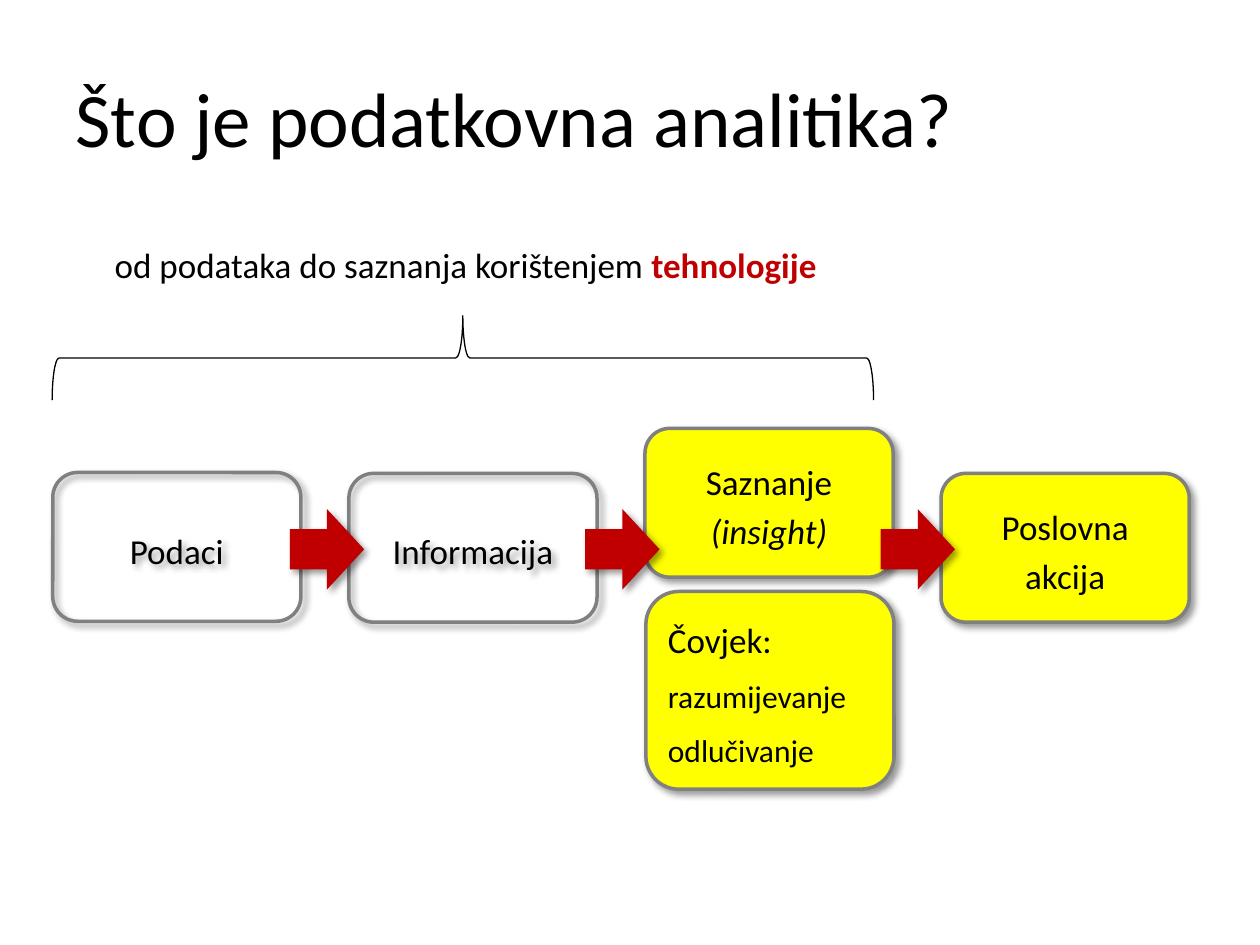
import pptx
import pptx.util
import pptx.dml.color
import pptx.enum.shapes
import pptx.enum.text
import lxml.etree

Pt = pptx.util.Pt
SHAPE = pptx.enum.shapes.MSO_SHAPE
ALIGN = pptx.enum.text.PP_ALIGN
ANCHOR = pptx.enum.text.MSO_ANCHOR
COLORS = {"text": "000000", "accent": "C00000", "highlight": "FFFF00", "border": "808080"}
SHADOW = (
    '<a:effectLst xmlns:a="http://schemas.openxmlformats.org/drawingml/2006/main">'
    '<a:outerShdw blurRad="50800" dist="38100" dir="2700000" algn="tl" rotWithShape="0">'
    '<a:srgbClr val="000000"><a:alpha val="40000"/></a:srgbClr>'
    '</a:outerShdw></a:effectLst>'
)


def add_figure(kind, place, fill=None, line=None, width=0, shadow=True):
    figure = slide.shapes.add_shape(kind, *map(Pt, place))
    figure.shadow.inherit = False
    if fill:
        figure.fill.solid()
        figure.fill.fore_color.rgb = pptx.dml.color.RGBColor.from_string(COLORS[fill])
    else:
        figure.fill.background()
    if line:
        figure.line.color.rgb = pptx.dml.color.RGBColor.from_string(COLORS[line])
        figure.line.width = Pt(width)
    else:
        figure.line.fill.background()
    if shadow:
        properties = figure.fill._xPr
        flat = properties.find("{*}effectLst")
        properties.replace(flat, lxml.etree.fromstring(SHADOW))
    return figure


def write(paragraph, runs, **paragraph_format):
    for name, value in paragraph_format.items():
        setattr(paragraph, name, value)
    for words, size, color, style in runs:
        run = paragraph.add_run()
        run.text = words
        values = {"name": "Calibri", "size": Pt(size), **style}
        for name, value in values.items():
            setattr(run.font, name, value)
        run.font.color.rgb = pptx.dml.color.RGBColor.from_string(COLORS[color])


deck = pptx.Presentation()
deck.slide_width, deck.slide_height = Pt(720), Pt(540)
slide = deck.slides.add_slide(deck.slide_layouts[5])

title = slide.shapes.title
for name, value in {"left": 36, "top": 21.6, "width": 648, "height": 90}.items():
    setattr(title, name, Pt(value))
title.text_frame.vertical_anchor = ANCHOR.MIDDLE
write(title.text_frame.paragraphs[0], [("Što je podatkovna analitika?", 44, "text", {})],
      alignment=ALIGN.LEFT)

box_width, box_height, step = 141.8, 85, 169.2
first_left, row_top = 30.2, 270.5
insight_left = first_left + 2 * step
stages = [
    (first_left, row_top - 0.5, box_height, None, ALIGN.CENTER,
     [[("Podaci", 20, "text", {})]]),
    (first_left + step, row_top, box_height, None, ALIGN.CENTER,
     [[("Informacija", 20, "text", {})]]),
    (insight_left, 244.8, box_height, "highlight", ALIGN.CENTER,
     [[("Saznanje ", 20, "text", {}), ("(insight)", 20, "text", {"italic": True})]]),
    (first_left + 3 * step, row_top, box_height, "highlight", ALIGN.CENTER,
     [[("Poslovna akcija", 20, "text", {})]]),
    (insight_left + 0.5, 338, 113, "highlight", ALIGN.LEFT,
     [[("Čovjek:", 20, "text", {})], [("razumijevanje", 18, "text", {})],
      [("odlučivanje", 18, "text", {})]]),
]
for left, top, height, fill, alignment, lines in stages:
    stage = add_figure(SHAPE.ROUNDED_RECTANGLE, (left, top, box_width, height),
                       fill, "border", 2)
    frame = stage.text_frame
    frame.word_wrap = True
    frame.vertical_anchor = ANCHOR.MIDDLE
    for index, runs in enumerate(lines):
        paragraph = frame.add_paragraph() if index else frame.paragraphs[0]
        write(paragraph, runs, alignment=alignment, line_spacing=1.15, space_after=Pt(6))

for index in range(3):
    add_figure(SHAPE.RIGHT_ARROW, (165.6 + 168.8 * index, 290.9, 42.5, 46), "accent")

brace = add_figure(SHAPE.RIGHT_BRACE, (240.4, -30.2, 48.2, 469.4), None, "text", 0.75, False)
brace.rotation = 270

caption = slide.shapes.add_textbox(Pt(32.4), Pt(135.4), Pt(467.3), Pt(31.7))
caption.text_frame.word_wrap = True
write(caption.text_frame.paragraphs[0],
      [("od podataka do saznanja korištenjem ", 20, "text", {}),
       ("tehnologije", 20, "accent", {"bold": True})],
      alignment=ALIGN.CENTER, space_before=Pt(4))

deck.save("out.pptx")
